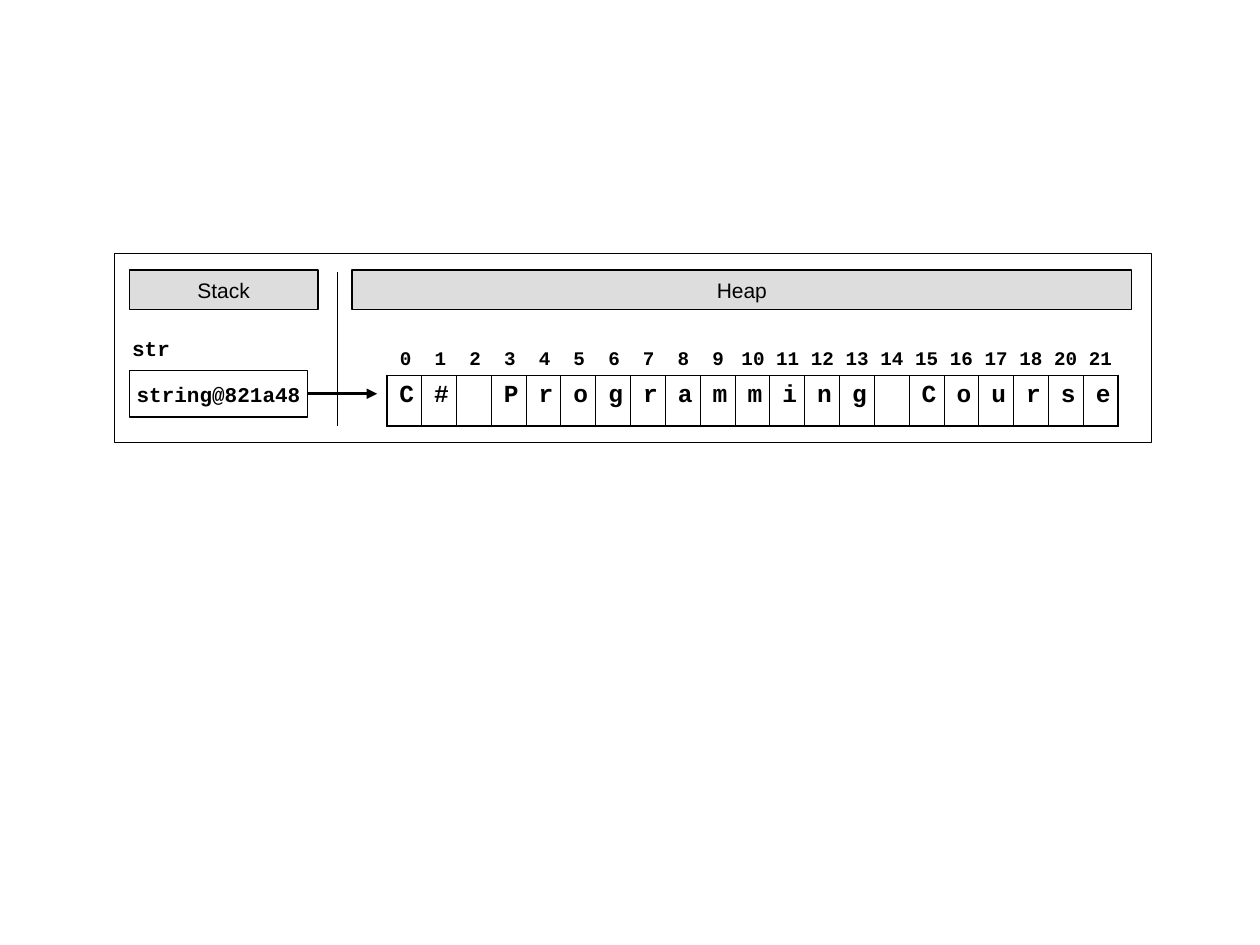
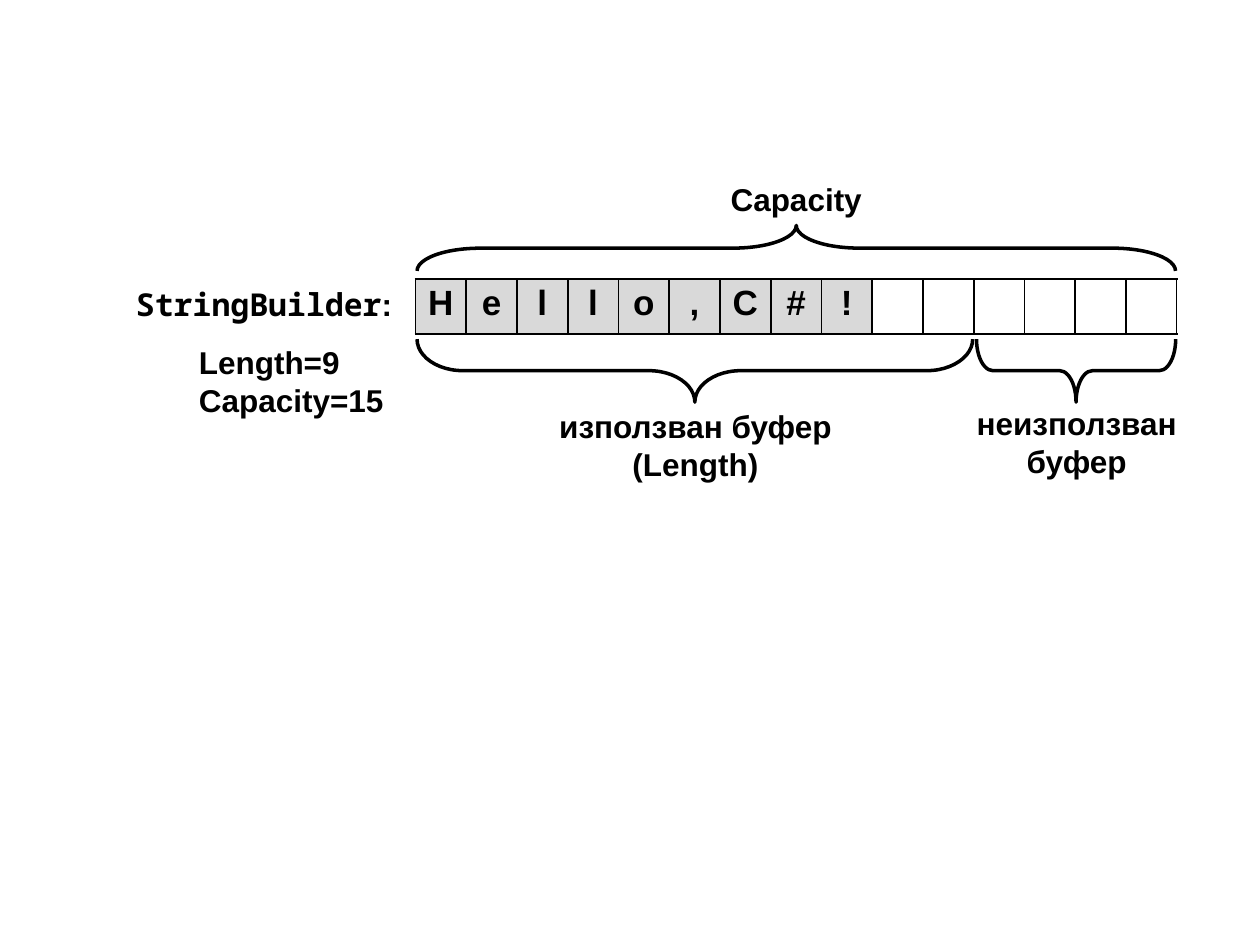
from dataclasses import dataclass

from lxml.etree import SubElement
from pptx import Presentation
from pptx.dml.color import RGBColor
from pptx.enum.shapes import MSO_CONNECTOR, MSO_SHAPE
from pptx.enum.text import MSO_ANCHOR, PP_ALIGN
from pptx.oxml.ns import qn
from pptx.util import Pt


@dataclass(frozen=True)
class Theme:
    ink: RGBColor = RGBColor(0, 0, 0)
    header: RGBColor = RGBColor(0xDD, 0xDD, 0xDD)
    used: RGBColor = RGBColor(0xD9, 0xD9, 0xD9)
    sans: str = "Arial"
    code: str = "Courier New"
    mono: str = "Noto Sans Mono"
    index: int = 11
    label: int = 12
    char: int = 14
    note: int = 18
    buffer: int = 20
    thin: float = 0.45
    thick: float = 1.08


theme = Theme()
HEADER = {"name": theme.sans, "size": Pt(theme.label), "bold": False}
CODE = {"name": theme.code, "size": Pt(theme.label), "bold": True}
INDEX = {**CODE, "size": Pt(theme.index)}
CHAR = {**CODE, "size": Pt(theme.char)}
NOTE = {"name": theme.sans, "size": Pt(theme.note), "bold": True}
MONO = {**NOTE, "name": theme.mono}
BUFFER = {**NOTE, "size": Pt(theme.buffer)}
CENTER = {"alignment": PP_ALIGN.CENTER}
TIGHT = {"margin_left": 0, "margin_top": 0, "margin_right": 0, "margin_bottom": 0}


def write(tf, lines, para={}, frame={}):
    """Fill a text frame; each line is a list of (text, font) runs."""
    for name, value in frame.items():
        setattr(tf, name, value)
    for i, line in enumerate(lines):
        p = tf.add_paragraph() if i else tf.paragraphs[0]
        for name, value in para.items():
            setattr(p, name, value)
        for text, font in line:
            r = p.add_run()
            r.text = text
            for name, value in font.items():
                setattr(r.font, name, value)
            r.font.color.rgb = theme.ink


def add_char_row(slide, text, box, font, para, inner, used=0):
    """One-row table with a character per cell; the first `used` cells are shaded."""
    tbl = slide.shapes.add_table(1, len(text), *map(Pt, box)).table
    tbl.first_row = tbl.horz_banding = False
    last = len(text) - 1
    for i, char in enumerate(text):
        tbl.columns[i].width = Pt(box[2] / len(text))
        cell = tbl.cell(0, i)
        tcPr = cell._tc.get_or_add_tcPr()
        widths = {"lnL": inner if i else theme.thick,
                  "lnR": inner if i < last else theme.thick,
                  "lnT": theme.thick, "lnB": theme.thick}
        for side, width in widths.items():
            ln = SubElement(tcPr, qn(f"a:{side}"), w=str(Pt(width)))
            fill = SubElement(ln, qn("a:solidFill"))
            SubElement(fill, qn("a:srgbClr"), val=str(theme.ink))
        if i < used:
            cell.fill.solid()
            cell.fill.fore_color.rgb = theme.used
        else:
            cell.fill.background()
        if char != " ":
            write(cell.text_frame, [[(char, font)]], para)


prs = Presentation()
prs.slide_width, prs.slide_height = Pt(720), Pt(540)
blank = prs.slide_layouts[6]

# Slide 1: string in stack and heap
s = prs.slides.add_slide(blank)

# Frame, headers and the variable box
boxes = [
    ("", HEADER, (65.5, 144.7, 592.5, 108.2), None, 0.5),
    ("Heap", HEADER, (201.2, 154.3, 445.5, 22.6), theme.header, 0.75),
    ("Stack", HEADER, (73.9, 154.3, 107.9, 22.6), theme.header, 0.75),
    ("string@821a48", CODE, (73.9, 211.7, 102, 26.6), None, 0.75),
]
for text, font, box, color, width in boxes:
    sp = s.shapes.add_shape(MSO_SHAPE.RECTANGLE, *map(Pt, box))
    sp.shadow.inherit = False
    sp.line.color.rgb = theme.ink
    sp.line.width = Pt(width)
    if color:
        sp.fill.solid()
        sp.fill.fore_color.rgb = color
    else:
        sp.fill.background()
    if text:
        write(sp.text_frame, [[(text, font)]], CENTER,
              {**TIGHT, "word_wrap": False, "vertical_anchor": MSO_ANCHOR.MIDDLE})
variable = sp

# Variable name
sp = s.shapes.add_textbox(Pt(75.5), Pt(191.7), Pt(40), Pt(14.4))
write(sp.text_frame, [[("str", CODE)]], frame={**TIGHT, "word_wrap": True})

# Characters on the heap
add_char_row(s, "C# Programming Course", (221, 214.6, 418.3, 23.5),
             CHAR, {"line_spacing": 0.95}, theme.thin)

# Character indices, centred on tab stops
indices = [*range(19), 20, 21]
sp = s.shapes.add_textbox(Pt(221), Pt(197.6), Pt(430), Pt(13))
write(sp.text_frame, [[("".join(f"\t{n}" for n in indices), INDEX)]],
      frame={**TIGHT, "word_wrap": True})
tabs = SubElement(sp.text_frame.paragraphs[0]._p.get_or_add_pPr(), qn("a:tabLst"))
for i in range(len(indices)):
    SubElement(tabs, qn("a:tab"), pos=str(Pt(10.8 + 19.85 * i)), algn="ctr")

# Divider and reference arrow
lines = [((193, 155.3, 193, 243.5), 0.75), ((175.9, 225, 215.5, 225), 2)]
for ends, width in lines:
    c = s.shapes.add_connector(MSO_CONNECTOR.STRAIGHT, *map(Pt, ends))
    c.line.color.rgb = theme.ink
    c.line.width = Pt(width)
    SubElement(c._element.spPr, qn("a:effectLst"))
c.begin_connect(variable, 3)
SubElement(c.line._get_or_add_ln(), qn("a:tailEnd"), type="triangle")

# Slide 2: StringBuilder buffer
s = prs.slides.add_slide(blank)
add_char_row(s, "Hello,C#!".ljust(15), (237.4, 159.5, 435, 31.4),
             BUFFER, {**CENTER, "line_spacing": 0.95}, theme.thick, used=9)

# Braces: left, top, length, depth, rotation, curve
braces = [
    (238.3, 193.8, 317.5, 36, 270, 0.73),
    (558, 193.8, 113.8, 36, 270, 0.26),
    (238.3, 128.8, 433.4, 26, 90, 1.39),
]
for left, top, length, depth, rotation, curve in braces:
    shift = (length - depth) / 2
    sp = s.shapes.add_shape(MSO_SHAPE.LEFT_BRACE, Pt(left + shift), Pt(top - shift),
                            Pt(depth), Pt(length))
    sp.rotation = rotation
    sp.adjustments[0] = curve
    sp.shadow.inherit = False
    sp.fill.background()
    sp.line.color.rgb = theme.ink
    sp.line.width = Pt(2)

# Labels
labels = [
    ((70.6, 159.1, 172, 84.2), {},
     [[("StringBuilder", MONO), (":", NOTE)], [("Length=9", NOTE)], [("Capacity=15", NOTE)]]),
    ((410.4, 99.4, 100, 28.8), {}, [[("Capacity", NOTE)]]),
    ((303.1, 229, 188.6, 50.4), CENTER, [[("използван буфер", NOTE)], [("(Length)", NOTE)]]),
    ((547.2, 227.5, 136.1, 50.4), CENTER, [[("неизползван буфер", NOTE)]]),
]
for box, para, text in labels:
    sp = s.shapes.add_textbox(*map(Pt, box))
    write(sp.text_frame, text, para, {"word_wrap": True})
    if len(text) == 3:
        details = sp.text_frame.paragraphs[1:]
        details[0].space_before = Pt(12)
        for p in details:
            p.level = 1
            p._p.get_or_add_pPr().set("marL", str(Pt(36)))

prs.save("out.pptx")
